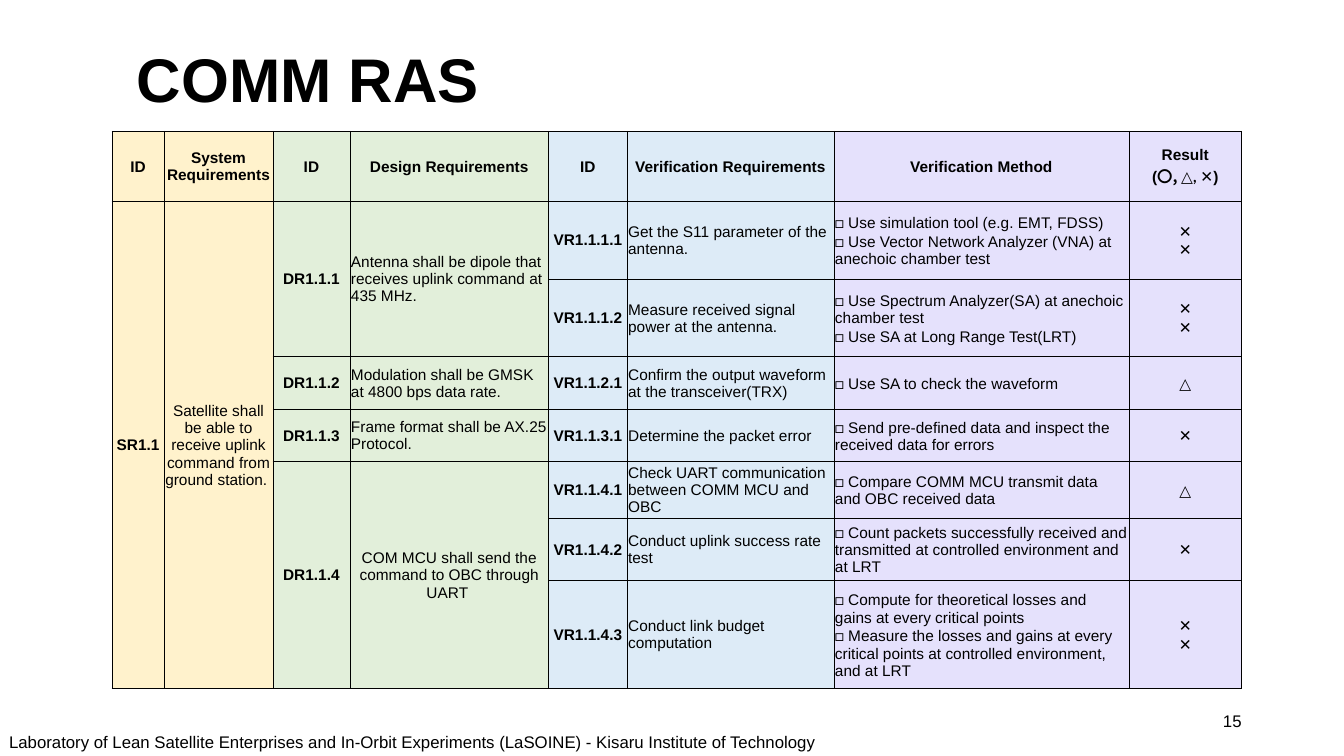
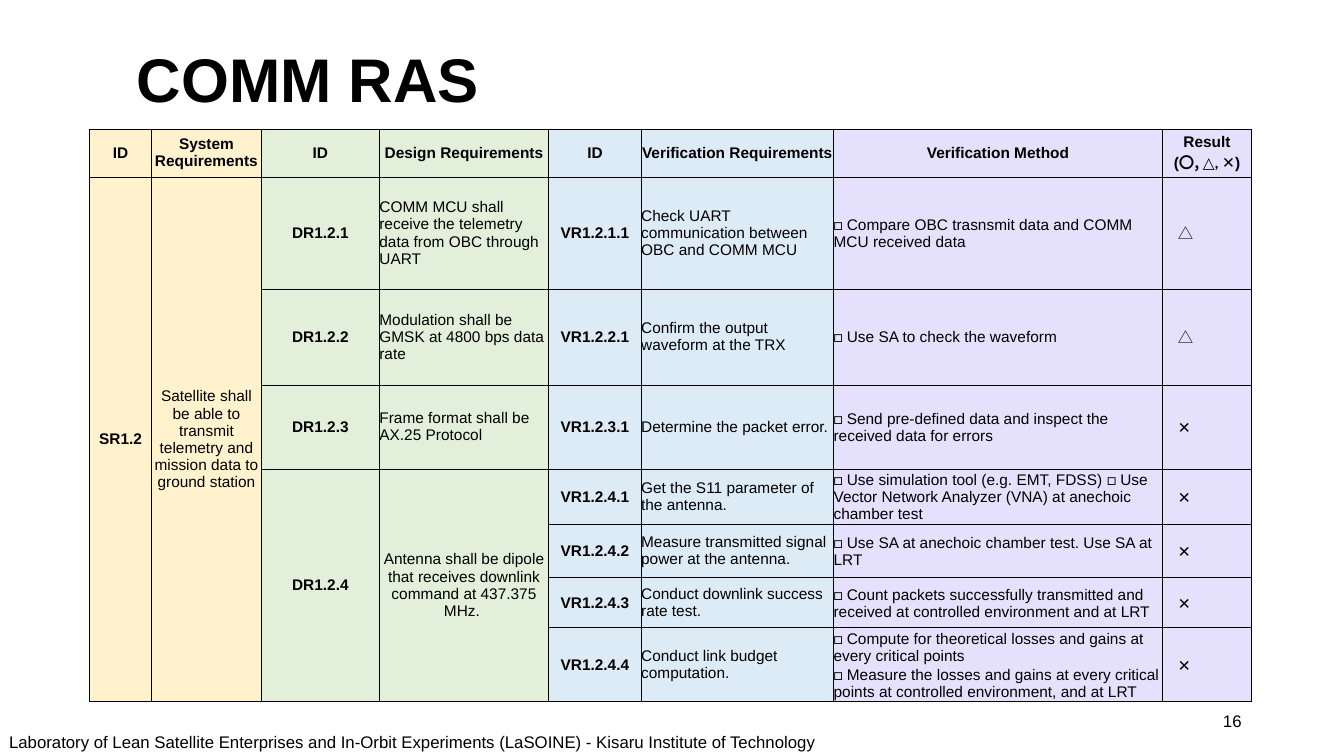
"""Build the communication requirement and verification slides."""
from dataclasses import dataclass
from typing import NamedTuple

import lxml.etree
import pptx
import pptx.dml.color
import pptx.enum.text
import pptx.oxml
import pptx.oxml.ns
import pptx.presentation
import pptx.slide
import pptx.table
import pptx.text.text
import pptx.util

Pt = pptx.util.Pt
LEFT = pptx.enum.text.PP_ALIGN.LEFT
CENTER = pptx.enum.text.PP_ALIGN.CENTER
RIGHT = pptx.enum.text.PP_ALIGN.RIGHT
MIDDLE = pptx.enum.text.MSO_ANCHOR.MIDDLE

BLACK, YELLOW, GREEN, BLUE, VIOLET = "000000", "FFF2CC", "E2EFDA", "DDEBF7", "E5E1FC"
BODY_FONT, SYMBOL_FONT, CJK_FONT = "Arial", "Lato", "Noto Sans CJK JP"
SYMBOL_FONTS = {"□": SYMBOL_FONT, "△": SYMBOL_FONT, "✕": SYMBOL_FONT, "〇": CJK_FONT}
TITLE = "COMM RAS"
FOOTER = ("Laboratory of Lean Satellite Enterprises and In-Orbit Experiments "
          "(LaSOINE) - Kisaru Institute of Technology")


class Column(NamedTuple):
    """Heading and look of one table column."""
    heading: str
    fill: str
    bold: bool
    alignment: pptx.enum.text.PP_ALIGN


class Verification(NamedTuple):
    """One verification row."""
    identifier: str
    requirement: str
    method: str
    result: str


class Design(NamedTuple):
    """A design requirement and the rows that verify it."""
    identifier: str
    requirement: str
    verifications: list[Verification]
    alignment: pptx.enum.text.PP_ALIGN = LEFT


@dataclass
class RequirementPage:
    """Content and table geometry of one slide."""
    number: int
    identifier: str
    requirement: str
    designs: list[Design]
    left: float
    top: float
    widths: list[float]
    heights: list[float]
    margin: float = 0
    result_indent: float = 0
    result_font: str = SYMBOL_FONT


COLUMNS = [
    Column("ID", YELLOW, True, CENTER),
    Column("System Requirements", YELLOW, False, CENTER),
    Column("ID", GREEN, True, CENTER),
    Column("Design Requirements", GREEN, False, LEFT),
    Column("ID", BLUE, True, CENTER),
    Column("Verification Requirements", BLUE, False, LEFT),
    Column("Verification Method", VIOLET, False, LEFT),
    Column("Result\n(〇, △, ✕)", VIOLET, False, CENTER),
]

PAGES = [
    RequirementPage(
        15, "SR1.1", "Satellite shall be able to receive uplink command from ground station. ",
        [
            Design("DR1.1.1", "Antenna shall be dipole that receives uplink command at 435 MHz.", [
                Verification("VR1.1.1.1", "Get the S11 parameter of the antenna.",
                             "□ Use simulation tool (e.g. EMT, FDSS)\n"
                             "□ Use Vector Network Analyzer (VNA) at anechoic chamber test", "✕\n✕"),
                Verification("VR1.1.1.2", "Measure received signal power at the antenna.",
                             "□ Use Spectrum Analyzer(SA) at anechoic chamber test\n"
                             "□ Use SA at Long Range Test(LRT)", "✕\n✕"),
            ]),
            Design("DR1.1.2", "Modulation shall be GMSK at 4800 bps data rate.", [
                Verification("VR1.1.2.1", "Confirm the output waveform at the transceiver(TRX)",
                             "□ Use SA to check the waveform", "△"),
            ]),
            Design("DR1.1.3", "Frame format shall be AX.25 Protocol.", [
                Verification("VR1.1.3.1", "Determine the packet error",
                             "□ Send pre-defined data and inspect the received data for errors", "✕"),
            ]),
            Design("DR1.1.4", "COM MCU shall send the command to OBC through UART ", [
                Verification("VR1.1.4.1", "Check UART communication between COMM MCU and OBC",
                             "□ Compare COMM MCU transmit data and OBC received data", "△"),
                Verification("VR1.1.4.2", "Conduct uplink success rate test",
                             "□ Count packets successfully received and transmitted at "
                             "controlled environment and at LRT", "✕"),
                Verification("VR1.1.4.3", "Conduct link budget computation",
                             "□ Compute for theoretical losses and gains at every critical points\n"
                             "□ Measure the losses and gains at every critical points at "
                             "controlled environment, and at LRT", "✕\n✕"),
            ], CENTER),
        ],
        left=80, top=93.75,
        widths=[37.25, 77.75, 55, 142, 56, 147.75, 210.75, 80.5],
        heights=[50, 55.5, 55.5, 37.5, 37.5, 37.5, 44.5, 77.5],
        margin=0.75,
    ),
    RequirementPage(
        16, "SR1.2",
        "Satellite shall be able to transmit telemetry and mission data to ground station",
        [
            Design("DR1.2.1", "COMM MCU shall receive the telemetry data from OBC through UART", [
                Verification("VR1.2.1.1", "Check UART communication between OBC and COMM MCU",
                             "□ Compare OBC trasnsmit data and COMM MCU received data", "△"),
            ]),
            Design("DR1.2.2", "Modulation shall be GMSK at 4800 bps data rate", [
                Verification("VR1.2.2.1", "Confirm the output waveform at the TRX",
                             "□ Use SA to check the waveform", "△"),
            ]),
            Design("DR1.2.3", "Frame format shall be AX.25 Protocol", [
                Verification("VR1.2.3.1", "Determine the packet error.",
                             "□ Send pre-defined data and inspect the received data for errors", "✕"),
            ]),
            Design("DR1.2.4", "Antenna shall be dipole that receives downlink command at 437.375 MHz. ", [
                Verification("VR1.2.4.1", "Get the S11 parameter of the antenna.",
                             "□ Use simulation tool (e.g. EMT, FDSS) "
                             "□ Use Vector Network Analyzer (VNA) at anechoic chamber test", "✕"),
                Verification("VR1.2.4.2", "Measure transmitted signal power at the antenna.",
                             "□ Use SA at anechoic chamber test. Use SA at LRT", "✕"),
                Verification("VR1.2.4.3", "Conduct downlink success rate test.",
                             "□ Count packets successfully transmitted and received at "
                             "controlled environment and at LRT", "✕"),
                Verification("VR1.2.4.4", "Conduct link budget computation.",
                             "□ Compute for theoretical losses and gains at every critical points\n"
                             "□ Measure the losses and gains at every critical points at "
                             "controlled environment, and at LRT", "✕"),
            ], CENTER),
        ],
        left=64, top=92,
        widths=[44.25, 78.5, 84.25, 121, 66, 137.5, 235, 63.5],
        heights=[34.5, 80, 68.5, 60, 38, 38, 35.75, 51],
        result_indent=11, result_font=CJK_FONT,
    ),
]


def color(value: str) -> pptx.dml.color.RGBColor:
    """Turn a hex string into a colour."""
    return pptx.dml.color.RGBColor.from_string(value)


def add_run(paragraph: pptx.text.text._Paragraph, text: str, size: float,
            bold: bool = False, font: str = BODY_FONT) -> None:
    """Add one formatted run, with the same font for East Asian letters."""
    run = paragraph.add_run()
    run.text = text
    run.font.size = Pt(size)
    run.font.bold = bold
    run.font.name = font
    run.font.color.rgb = color(BLACK)
    latin = run.font._element.find(pptx.oxml.ns.qn("a:latin"))
    east_asian = lxml.etree.Element(pptx.oxml.ns.qn("a:ea"))
    east_asian.set("typeface", font)
    latin.addnext(east_asian)


def split_by_font(text: str) -> list[tuple[str, str]]:
    """Split text into pieces with their fonts; commas and spaces keep the font before them."""
    pieces: list[tuple[str, str]] = []
    for letter in text:
        font = SYMBOL_FONTS.get(letter, BODY_FONT)
        if pieces and (letter in ", " or font == pieces[-1][1]):
            pieces[-1] = (pieces[-1][0] + letter, pieces[-1][1])
        else:
            pieces.append((letter, font))
    return pieces


def fill_cell(cell: pptx.table._Cell, text: str, bold: bool,
              alignment: pptx.enum.text.PP_ALIGN, symbol_font: str = "") -> None:
    """Write text into a table cell."""
    paragraph = cell.text_frame.paragraphs[0]
    paragraph.alignment = alignment
    for index, line in enumerate(text.split("\n")):
        if index:
            paragraph.add_line_break()
        for piece, font in split_by_font(line):
            add_run(paragraph, piece, 11, bold, symbol_font or font)


def style_cell(cell: pptx.table._Cell, fill: str, margin: float) -> None:
    """Set borders, fill, margins and anchor of a cell."""
    properties = cell._tc.get_or_add_tcPr()
    for side in ("lnL", "lnR", "lnT", "lnB"):
        properties.append(pptx.oxml.parse_xml(
            f'<a:{side} {pptx.oxml.ns.nsdecls("a")} w="{int(Pt(0.5))}">'
            f'<a:solidFill><a:srgbClr val="{BLACK}"/></a:solidFill></a:{side}>'))
    cell.fill.solid()
    cell.fill.fore_color.rgb = color(fill)
    cell.vertical_anchor = MIDDLE
    cell.margin_left = cell.margin_right = cell.margin_top = Pt(margin)
    cell.margin_bottom = Pt(0)


def add_requirement_table(slide: pptx.slide.Slide, page: RequirementPage) -> None:
    """Draw the traceability table of a page."""
    table = slide.shapes.add_table(
        len(page.heights), len(COLUMNS), Pt(page.left), Pt(page.top),
        Pt(sum(page.widths)), Pt(sum(page.heights))).table
    table.first_row = table.horz_banding = False
    for row, height in zip(table.rows, page.heights):
        row.height = Pt(height)
    for index, (column, width) in enumerate(zip(COLUMNS, page.widths)):
        table.columns[index].width = Pt(width)
        for row in range(len(page.heights)):
            style_cell(table.cell(row, index), column.fill, page.margin)
        fill_cell(table.cell(0, index), column.heading, True, CENTER)

    def put(row: int, index: int, text: str, span: int = 1,
            alignment: pptx.enum.text.PP_ALIGN | None = None, symbol_font: str = "") -> None:
        """Fill a body cell that spans some rows."""
        cell = table.cell(row, index)
        if span > 1:
            cell.merge(table.cell(row + span - 1, index))
        column = COLUMNS[index]
        fill_cell(cell, text, column.bold, alignment or column.alignment, symbol_font)

    put(1, 0, page.identifier, len(page.heights) - 1)
    put(1, 1, page.requirement, len(page.heights) - 1)
    row = 1
    for design in page.designs:
        span = len(design.verifications)
        put(row, 2, design.identifier, span)
        put(row, 3, design.requirement, span, design.alignment)
        for verification in design.verifications:
            put(row, 4, verification.identifier)
            put(row, 5, verification.requirement)
            put(row, 6, verification.method)
            put(row, 7, verification.result, 1,
                LEFT if page.result_indent else CENTER, page.result_font)
            if page.result_indent:
                table.cell(row, 7).margin_left = Pt(page.result_indent)
            row += 1


def add_footer(slide: pptx.slide.Slide) -> None:
    """Put the shared footer on the layout of a slide."""
    shape = slide.shapes.add_textbox(Pt(6.5), Pt(520.5), Pt(587.5), Pt(16.5))
    frame = shape.text_frame
    frame.word_wrap = True
    frame.auto_size = pptx.enum.text.MSO_AUTO_SIZE.SHAPE_TO_FIT_TEXT
    frame.margin_left = frame.margin_right = frame.margin_bottom = Pt(0)
    frame.margin_top = Pt(2)
    frame.paragraphs[0].space_before = Pt(1.9)
    add_run(frame.paragraphs[0], FOOTER, 12)
    slide.slide_layout.shapes.element.append(shape.element)


def add_page(presentation: pptx.presentation.Presentation, page: RequirementPage) -> pptx.slide.Slide:
    """Add a slide with title, number and table."""
    slide = presentation.slides.add_slide(presentation.slide_layouts.get_by_name("Title Only"))
    title = slide.shapes.title
    title.left, title.top, title.width, title.height = Pt(90.5), Pt(29), Pt(803.5), Pt(60)
    title.text_frame.vertical_anchor = MIDDLE
    paragraph = title.text_frame.paragraphs[0]
    paragraph.alignment = LEFT
    paragraph.line_spacing = 0.9
    add_run(paragraph, TITLE, 44, True)
    number = slide.shapes.add_textbox(Pt(678), Pt(500.5), Pt(216), Pt(29)).text_frame
    number.word_wrap = True
    number.vertical_anchor = MIDDLE
    number.paragraphs[0].alignment = RIGHT
    add_run(number.paragraphs[0], str(page.number), 12)
    add_requirement_table(slide, page)
    return slide


def main() -> None:
    """Build and save the presentation."""
    presentation = pptx.Presentation()
    presentation.slide_width, presentation.slide_height = Pt(960), Pt(540)
    slides = [add_page(presentation, page) for page in PAGES]
    add_footer(slides[0])
    presentation.save("out.pptx")


if __name__ == "__main__":
    main()
